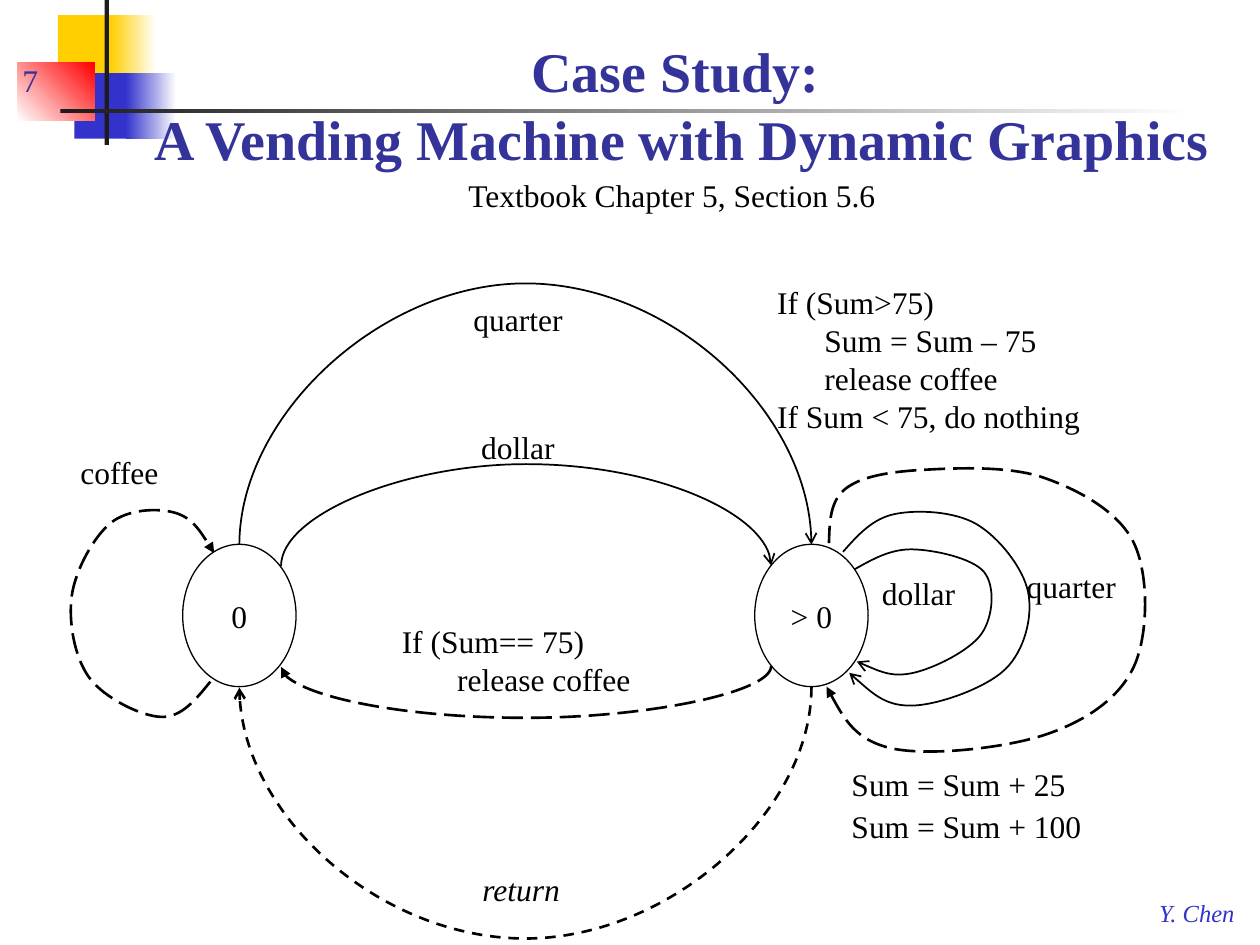
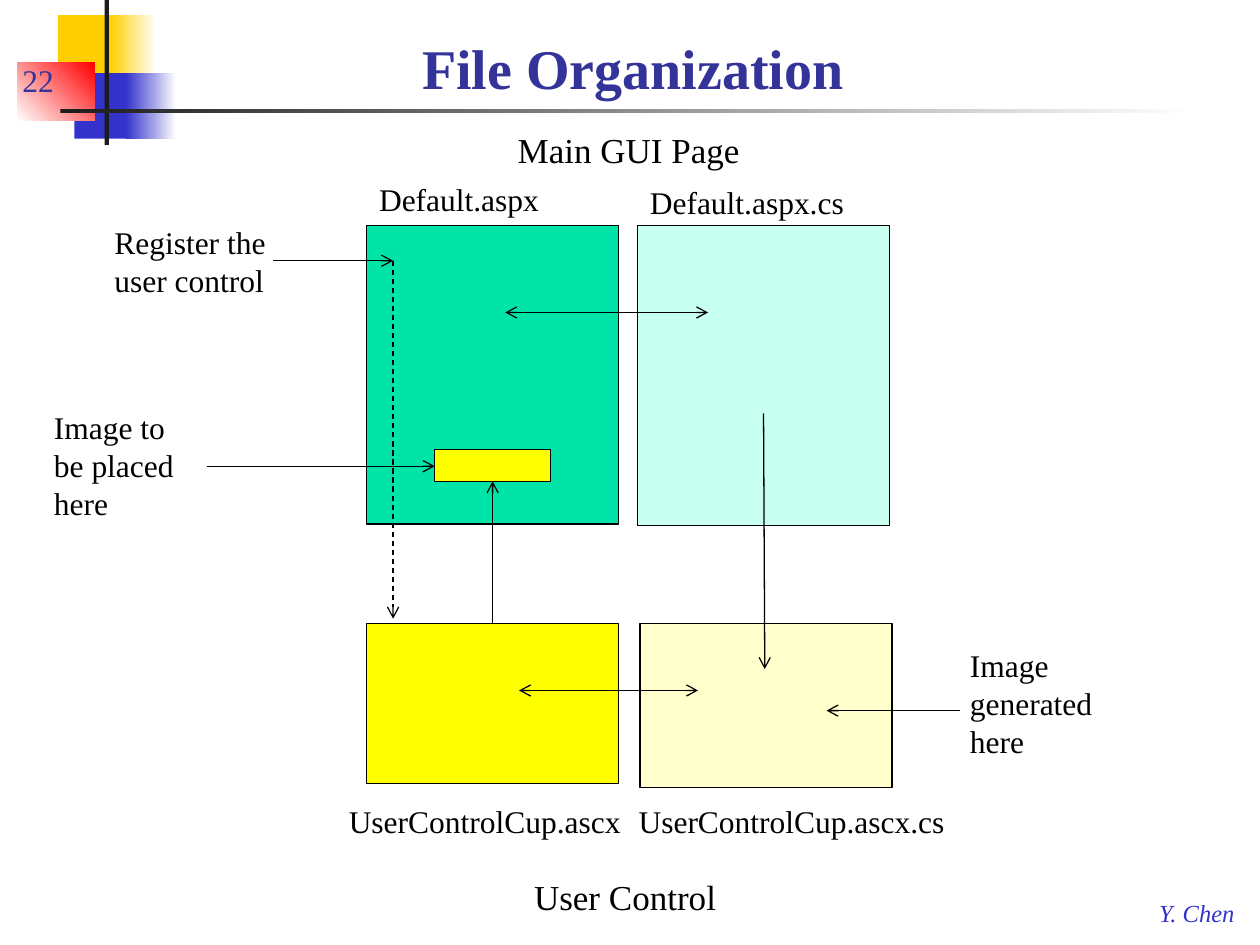
from dataclasses import dataclass, field
from typing import Any, NamedTuple

from lxml import etree
from pptx import Presentation
from pptx.dml.color import RGBColor
from pptx.enum.dml import MSO_LINE
from pptx.enum.shapes import MSO_CONNECTOR, MSO_SHAPE
from pptx.enum.text import MSO_ANCHOR, MSO_AUTO_SIZE, PP_ALIGN
from pptx.oxml.ns import qn
from pptx.util import Inches, Pt

RECT, OVAL = MSO_SHAPE.RECTANGLE, MSO_SHAPE.OVAL
LINE, CURVE = MSO_CONNECTOR.STRAIGHT, MSO_CONNECTOR.CURVE
DASH, LONG = MSO_LINE.DASH, MSO_LINE.LONG_DASH
LEFT, MID = PP_ALIGN.LEFT, PP_ALIGN.CENTER
LOW, HALF, HIGH = MSO_ANCHOR.BOTTOM, MSO_ANCHOR.MIDDLE, MSO_ANCHOR.TOP
FIXED = MSO_AUTO_SIZE.NONE

# The grid has 100 columns and 75 rows.
WIDE, TALL = Inches(10), Inches(7.5)
COLS, ROWS = 100, 75


@dataclass(frozen=True)
class Theme:
    font: str = "Times New Roman"
    ink: str = "000000"
    paper: str = "FFFFFF"
    title: str = "333399"
    blue: str = "3333CC"
    gold: str = "FFCF01"
    red: str = "FF0000"
    rule: str = "1C1C1C"
    green: str = "00E4A8"
    mint: str = "C7FFF0"
    yellow: str = "FFFF00"
    cream: str = "FFFFCC"
    head: int = 32
    group: int = 20
    body: int = 18
    foot: int = 14
    thin: float = 0.75
    plain: float = 1
    bold: float = 1.5


T = Theme()


class Area(NamedTuple):
    """A place in columns and rows."""
    x: float
    y: float
    w: float
    h: float

    def emu(self) -> tuple[int, int, int, int]:
        return col(self.x), row(self.y), col(self.w), row(self.h)


class Band(NamedTuple):
    area: Area
    color: str
    fade: str = ""
    angle: int = 0


class Box(NamedTuple):
    area: Area
    fill: str
    kind: Any = RECT
    text: str = ""


@dataclass(frozen=True)
class Label:
    text: str
    area: Area
    size: int = T.body
    color: str = T.ink
    font: dict = field(default_factory=dict)
    frame: dict = field(default_factory=dict)
    align: Any = LEFT
    inset: float = 0
    inner: tuple = ()  # indexes of the indented paragraphs


class Stroke(NamedTuple):
    width: float = T.thin
    dash: Any = None
    head: str = ""
    tail: str = ""


class Arrow(NamedTuple):
    start: tuple
    end: tuple
    stroke: Stroke


class Arc(NamedTuple):
    start: float
    end: float
    y: float
    bulge: float
    stroke: Stroke


class Loop(NamedTuple):
    knots: list
    stroke: Stroke


def col(n: float) -> int:
    return round(n * WIDE / COLS)


def row(n: float) -> int:
    return round(n * TALL / ROWS)


def rgb(color: str) -> RGBColor:
    return RGBColor.from_string(color)


def put(item: Any, values: dict) -> None:
    for name, value in values.items():
        setattr(item, name, value)


def write(shape: Any, label: Label) -> None:
    frame = shape.text_frame
    put(frame, {"word_wrap": True, "auto_size": FIXED,
                "vertical_anchor": HIGH} | label.frame)
    frame.text = label.text
    for i, para in enumerate(frame.paragraphs):
        para.alignment = label.align
        if i in label.inner:
            props = para._p.get_or_add_pPr()
            props.set("marL", str(col(label.inset)))
            props.set("indent", "0")
        for run in para.runs:
            put(run.font, {"name": T.font, "size": Pt(label.size)} | label.font)
            run.font.color.rgb = rgb(label.color)


def add_label(slide: Any, label: Label) -> None:
    write(slide.shapes.add_textbox(*label.area.emu()), label)


def add_box(slide: Any, box: Box) -> None:
    shape = slide.shapes.add_shape(box.kind, *box.area.emu())
    shape.shadow.inherit = False
    shape.fill.solid()
    shape.fill.fore_color.rgb = rgb(box.fill)
    ink(shape.line, Stroke())
    if box.text:
        write(shape, Label(box.text, box.area, align=MID,
                           frame={"vertical_anchor": HALF}))


def add_band(slide: Any, band: Band) -> None:
    shape = slide.shapes.add_shape(RECT, *band.area.emu())
    shape.shadow.inherit = False
    shape.line.fill.background()
    if not band.fade:
        shape.fill.solid()
        shape.fill.fore_color.rgb = rgb(band.color)
        return
    shape.fill.gradient()
    shape.fill.gradient_angle = band.angle
    for stop, color in zip(shape.fill.gradient_stops, (band.color, band.fade)):
        stop.color.rgb = rgb(color)


def ink(line: Any, stroke: Stroke) -> None:
    line.color.rgb = rgb(T.ink)
    line.width = Pt(stroke.width)
    if stroke.dash:
        line.dash_style = stroke.dash
    for tag, kind in (("a:headEnd", stroke.head), ("a:tailEnd", stroke.tail)):
        if kind:
            etree.SubElement(line._ln, qn(tag), type=kind)


def add_arrow(slide: Any, arrow: Arrow, kind: Any = LINE) -> Any:
    (x1, y1), (x2, y2) = arrow.start, arrow.end
    wire = slide.shapes.add_connector(kind, col(x1), row(y1), col(x2), row(y2))
    ink(wire.line, arrow.stroke)
    etree.SubElement(wire._element.spPr, qn("a:effectLst"))
    return wire


def add_arc(slide: Any, arc: Arc) -> None:
    """Bend a flat curve by a quarter turn; rightward arcs rise, others sag."""
    wire = add_arrow(slide, Arrow((arc.start, arc.y), (arc.end, arc.y),
                                  arc.stroke), CURVE)
    span, flat = abs(arc.end - arc.start), 0.05
    mid = (arc.start + arc.end) / 2
    place = Area(mid - flat / 2, arc.y - span / 2, flat, span).emu()
    put(wire, dict(zip(("left", "top", "width", "height"), place)))
    props = wire._element.spPr
    turn = props.find(qn("a:xfrm"))
    turn.set("rot", "5400000")
    for name in ("flipH", "flipV"):
        turn.set(name, str(int(arc.end > arc.start)))
    guides = props.find(qn("a:prstGeom")).find(qn("a:avLst"))
    etree.SubElement(guides, qn("a:gd"), name="adj1",
                     fmla=f"val {round(arc.bulge / flat * 100000)}")


def blend(a: tuple, b: tuple, c: tuple, share: float) -> tuple:
    """Move a by a share of the way from b to c."""
    return tuple(p + (r - q) * share for p, q, r in zip(a, b, c))


def spline(knots: list) -> list:
    """Return two handles and an end for each piece of a smooth curve."""
    points, last = [], len(knots) - 2
    for i in range(last + 1):
        a, b = knots[i], knots[i + 1]
        out = blend(a, knots[i - 1], b, 1 / 6) if i else None
        into = blend(b, knots[i + 2], a, 1 / 6) if i < last else None
        out = out or blend(a, a, into, 0.5)
        into = into or blend(b, b, out, 0.5)
        points += [out, into, b]
    return points


def add_loop(slide: Any, loop: Loop) -> None:
    def emu(point: tuple) -> tuple[int, int]:
        return col(point[0]), row(point[1])

    pen = slide.shapes.build_freeform(*emu(loop.knots[0]))
    pen.add_line_segments([emu(p) for p in spline(loop.knots)], close=False)
    shape = pen.convert_to_shape()
    shape.shadow.inherit = False
    shape.fill.background()
    ink(shape.line, loop.stroke)
    legs = list(shape._element.iter(qn("a:lnTo")))
    for i in range(0, len(legs), 3):
        curve = etree.Element(qn("a:cubicBezTo"))
        legs[i].addprevious(curve)
        for leg in legs[i:i + 3]:
            curve.append(leg[0])
            leg.getparent().remove(leg)


BANDS = [
    Band(Area(4.6, 1.2, 4.8, 5.2), T.gold),
    Band(Area(8.8, 1.2, 3.6, 5.2), T.gold, T.paper),
    Band(Area(5.9, 5.8, 4.6, 5.2), T.blue),
    Band(Area(10, 5.8, 4, 5.2), T.blue, T.paper),
    Band(Area(1.4, 5, 6.1, 4.6), T.paper, T.red, 45),
    Band(Area(8.3, 0, 0.35, 11.5), T.rule),
    Band(Area(4.8, 8.65, 90, 0.3), T.rule, T.paper),
]
FOOT = Label("Y. Chen", Area(91, 70.8, 8.2, 3.3), T.foot, T.blue,
             {"italic": True}, {"word_wrap": False})


def dress(layout: Any, slide: Any) -> None:
    """Draw the shared bands and footer, and move them to the layout."""
    old = len(slide.shapes)
    for band in BANDS:
        add_band(slide, band)
    add_label(slide, FOOT)
    for i, shape in enumerate(list(slide.shapes)[old:]):
        shape._element.nvSpPr.cNvPr.set("id", str(100 + i))
        layout.shapes._spTree.append(shape._element)


def head(slide: Any, text: str, area: Area, align: Any, page: int) -> None:
    title = slide.shapes.title
    put(title, dict(zip(("left", "top", "width", "height"), area.emu())))
    write(title, Label(text, area, T.head, T.title, {"bold": True},
                       {"vertical_anchor": LOW}, align))
    add_label(slide, Label(str(page), Area(0.8, 3.3, 7.5, 5), color=T.title,
                           frame={"vertical_anchor": LOW}))


def draw_states(slide: Any) -> None:
    head(slide, "Case Study: \vA Vending Machine with Dynamic Graphics",
         Area(10.8, 0.8, 86.7, 13.3), MID, 7)
    solid = Stroke(T.plain, tail="arrow")
    back = Stroke(T.plain, head="arrow")
    zero, more = 19, 64.4
    for arc in (
        Arc(zero, more, 43.25, 20.3, solid),
        Arc(22.3, 61.2, 44.9, 7.9, solid),
        Arc(61.2, 22.3, 52.9, 4, Stroke(T.bold, LONG, tail="triangle")),
        Arc(more, zero, 54.55, 19.5, Stroke(T.bold, DASH, tail="arrow")),
    ):
        add_arc(slide, arc)
    for loop in (
        Loop([(16.7, 54.1), (12.8, 56.9), (7.1, 53.8), (5.7, 47.3), (8.8, 41.5),
              (13.9, 40.7), (17, 43.9)], Stroke(T.bold, LONG, tail="triangle")),
        Loop([(68, 52.5), (72.5, 53.4), (77.9, 50.3), (78.1, 45.4), (72.4, 43.6),
              (67.8, 45.2)], back),
        Loop([(67.4, 53.4), (72.4, 56), (79.8, 53.1), (81.6, 47), (77.5, 41.6),
              (71, 40.8), (66.9, 43.8)], back),
        Loop([(65.6, 54.5), (70.8, 59.4), (83, 58.3), (90, 52.9), (90, 43.1),
              (82.8, 37.9), (73.1, 37.3), (67.1, 38.8), (65.8, 43.1)],
             Stroke(T.bold, LONG, head="triangle")),
    ):
        add_loop(slide, loop)
    for label in (
        Label("quarter", Area(36.6, 23.3, 15, 4.7)),
        Label("dollar", Area(37.2, 33.5, 12.9, 4.7)),
        Label("coffee", Area(5.4, 35.5, 12.6, 4.7)),
        Label("If (Sum== 75)\nrelease coffee", Area(30.9, 48.9, 24.8, 8.3),
              inset=4.4, inner=(1,)),
        Label("quarter", Area(80.5, 44.5, 12.9, 4.7)),
        Label("dollar", Area(69, 45.1, 10.1, 4.7)),
        Label("return", Area(37.3, 68.6, 12.8, 4.7), font={"italic": True}),
        Label("Sum = Sum + 25", Area(66.6, 60.2, 26, 4.7)),
        Label("If (Sum>75)\nSum = Sum – 75\nrelease coffee\n"
              "If Sum < 75, do nothing", Area(60.7, 22, 31.4, 15.4),
              inset=3.75, inner=(1, 2)),
        Label("Sum = Sum + 100", Area(66.6, 63.6, 24.6, 4.7)),
        Label("Textbook Chapter 5, Section 5.6", Area(36.2, 13.5, 34.7, 4),
              frame={"word_wrap": False}),
    ):
        add_label(slide, label)
    for mid, text in ((zero, "0"), (more, "> 0")):
        add_box(slide, Box(Area(mid - 4.5, 43.2, 9, 11.3), T.paper, OVAL, text))


def draw_files(slide: Any) -> None:
    head(slide, "File Organization", Area(32.5, 1.7, 66.7, 6.8), LEFT, 22)
    for box in (
        Box(Area(29.1, 17.9, 20, 23.7), T.green),
        Box(Area(50.6, 17.9, 20, 23.8), T.mint),
        Box(Area(29.1, 49.5, 20, 12.7), T.yellow),
        Box(Area(50.8, 49.5, 20, 13), T.cream),
        Box(Area(34.5, 35.7, 9.2, 2.5), T.yellow),
    ):
        add_box(slide, box)
    one, both = Stroke(tail="arrow"), Stroke(head="arrow", tail="arrow")
    for arrow in (
        Arrow((39.1, 49.5), (39.1, 38.2), one),
        Arrow((41.2, 54.8), (55.4, 54.8), both),
        Arrow((60.6, 32.8), (60.7, 53.1), one),
        Arrow((31.2, 20.7), (31.2, 49.1), Stroke(dash=DASH, tail="arrow")),
        Arrow((40.1, 24.8), (56.2, 24.8), both),
        Arrow((16.4, 37), (34.5, 37), one),
        Arrow((76.2, 56.4), (65.6, 56.4), one),
        Arrow((21.7, 20.7), (31.2, 20.7), one),
    ):
        add_arrow(slide, arrow)
    for text, area, size in (
        ("Default.aspx", Area(29.1, 13.8, 14.8, 4), T.body),
        ("Default.aspx.cs", Area(50.6, 14, 17.6, 4), T.body),
        ("UserControlCup.ascx", Area(26.7, 63.2, 24.7, 4), T.body),
        ("UserControlCup.ascx.cs", Area(49.7, 63.2, 26.6, 4), T.body),
        ("Main GUI Page", Area(40.1, 9.7, 19.8, 4.4), T.group),
        ("User Control", Area(41.4, 69, 16.6, 4.4), T.group),
    ):
        add_label(slide, Label(text, area, size, frame={"word_wrap": False}))
    for text, area in (
        ("Image to be placed here", Area(3.3, 31.9, 13.1, 10.1)),
        ("Image generated here", Area(76, 50.8, 14.7, 10.1)),
        ("Register the user control", Area(8.1, 17.2, 16.7, 7.1)),
    ):
        add_label(slide, Label(text, area))


def main() -> None:
    deck = Presentation()
    deck.slide_width, deck.slide_height = WIDE, TALL
    layout = deck.slide_layouts[5]
    states, files = (deck.slides.add_slide(layout) for _ in range(2))
    dress(layout, states)
    draw_states(states)
    draw_files(files)
    deck.save("out.pptx")


if __name__ == "__main__":
    main()
